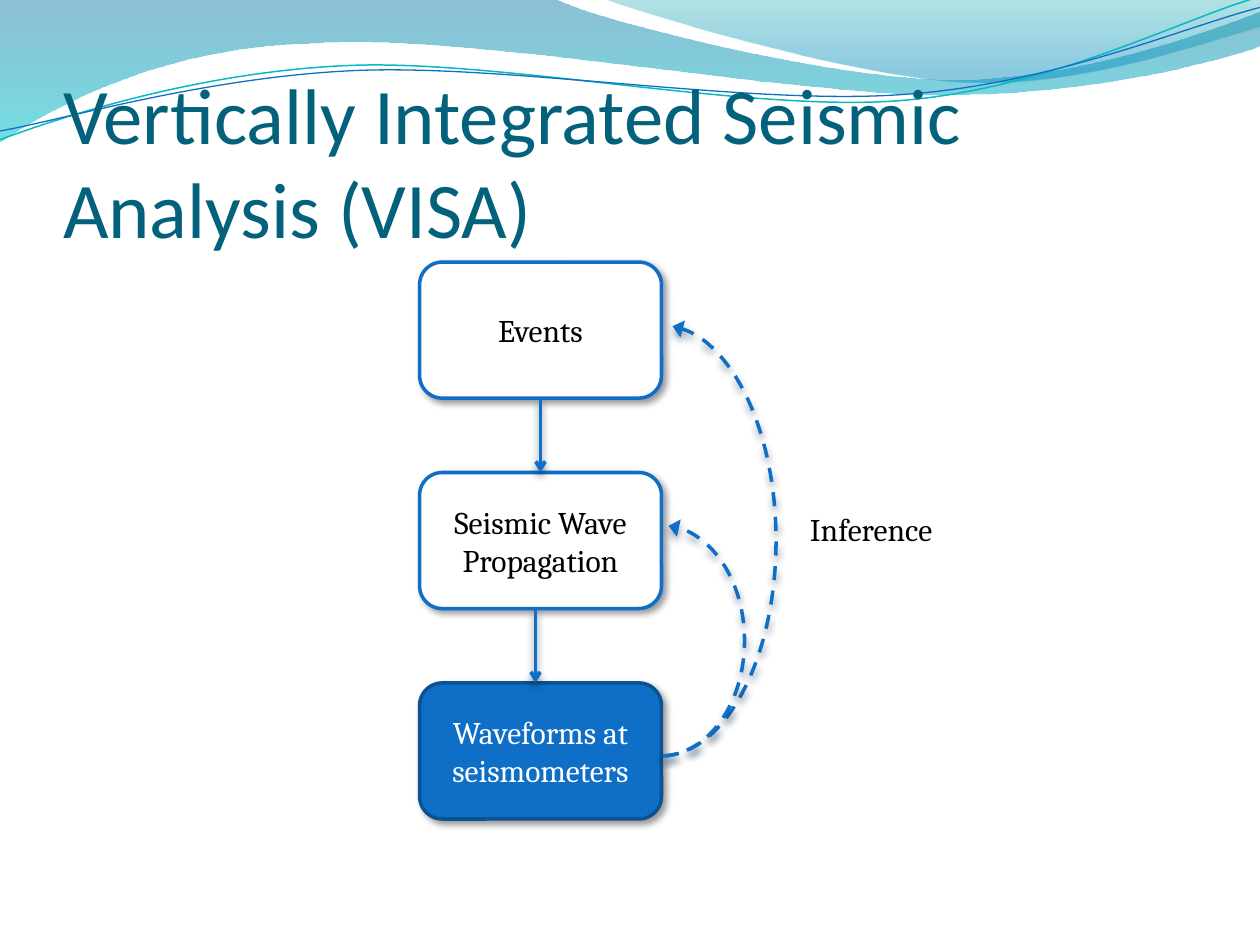
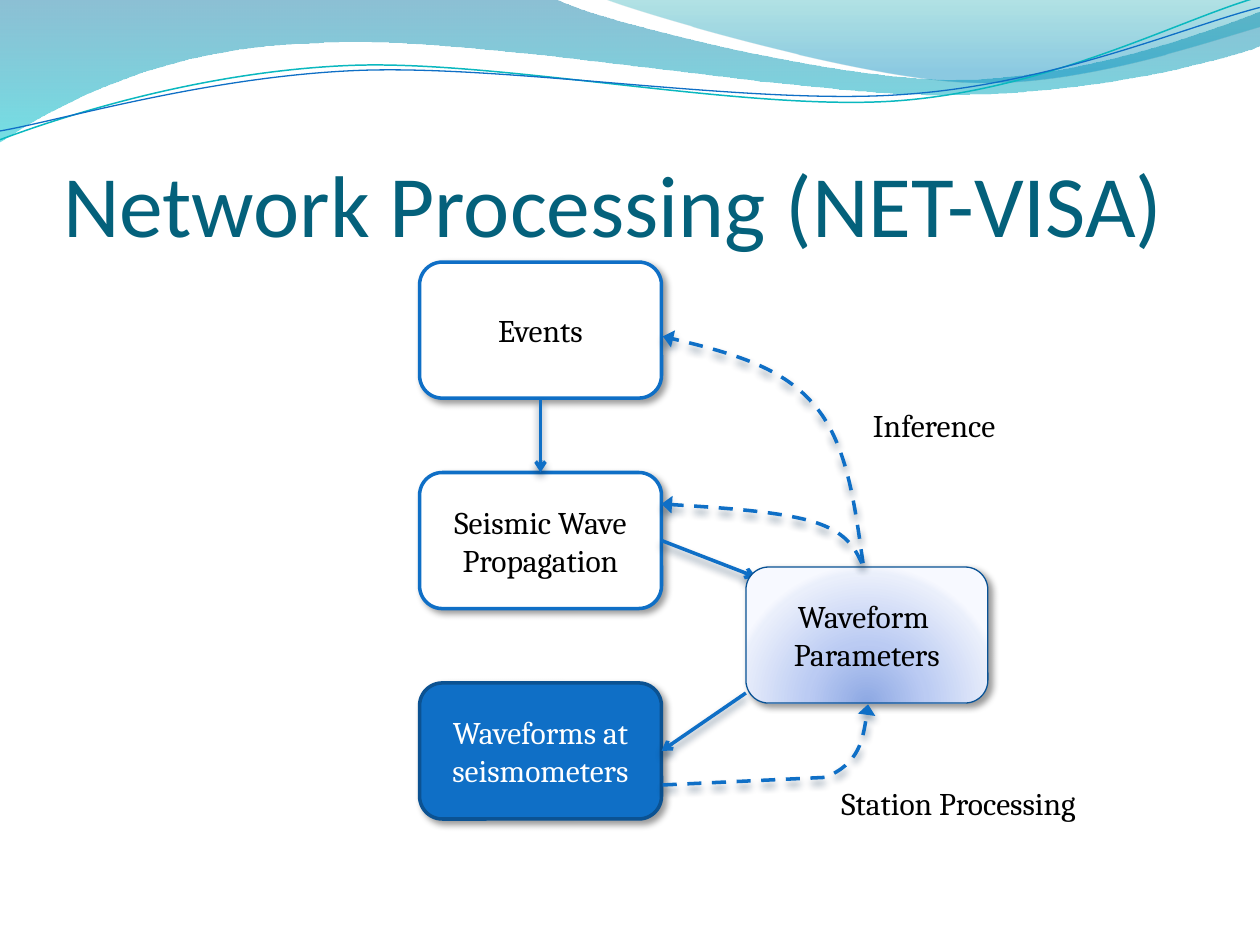
from math import cos, radians, sin

from lxml import etree
from pptx import Presentation
from pptx.dml.color import RGBColor
from pptx.enum import dml, shapes, text
from pptx.oxml import ns
from pptx.util import Inches, Pt

# Shared colours and fonts
WHITE = RGBColor(0xFF, 0xFF, 0xFF)
BLACK = RGBColor(0, 0, 0)
BLUE = RGBColor(0x0F, 0x6F, 0xC6)
NAVY = RGBColor(0x0B, 0x52, 0x92)
PARAMETER_EDGE = RGBColor(0x09, 0x52, 0x95)
TEAL = RGBColor(0x0A, 0xB8, 0xBF)
TITLE_COLOUR = RGBColor(0x04, 0x61, 0x7B)
TITLE_FONT, BODY_FONT = "Calibri", "Cambria"

# Shadows: colour, opacity %, blur and distance in points, direction in degrees
BOX_SHADOW = ("000000", 40, 4, 3, 45)
ARROW_SHADOW = ("042747", 48, 4.5, 3, 90)

# Gradients: (position %, colour, opacity %)
BAND_STOPS = [(0, "0074A1", 45), (100, "00C6CF", 55)]
CREST_STOPS = [(0, "00A1A9", 30), (80, "008BBF", 45)]
GLOW_STOPS = [(0, "8DA8E3", 100), (43, "BBCBF3", 100),
              (93, "EAEFFB", 100), (100, "F7F9FF", 100)]
GLOW_CENTRE = {"l": 50, "t": 130, "r": 50, "b": -30}

# Outlines in inches: a start point, then lines (x, y) or curves (two handles, end)
BAND = [(0, 0), (4.4, -0.01), (4.76, 0.17, 6.64, 0.63, 7.58, 0.63),
        (8.53, 0.63, 9.58, 0.26, 10, 0.09), (10.01, 0.36),
        (9.83, 0.44, 8.7, 0.76, 7.46, 0.75), (6.22, 0.75, 3.82, 0.28, 2.57, 0.34),
        (1.29, 0.36, 0.46, 0.83, -0.01, 1.13), (0, 0)]
CREST = [(4.79, -0.01), (5.09, 0.11, 6.82, 0.62, 7.69, 0.65),
         (8.56, 0.69, 9.61, 0.32, 10, 0.21), (10, 0), (4.79, -0.01)]
TEAL_WAVE = [(0, 1.11), (0.48, 0.93, 1.58, 0.57, 2.77, 0.52),
             (3.95, 0.47, 5.93, 0.89, 7.13, 0.8), (8.33, 0.71, 9.38, 0.15, 9.98, -0.02)]
BLUE_WAVE = [(0, 1.04), (0.47, 0.96, 1.64, 0.61, 2.83, 0.56),
             (4.03, 0.51, 5.97, 0.84, 7.17, 0.75), (8.36, 0.67, 9.41, 0.21, 10, 0.06)]
WAVE_TILT = 357.3
PARAMETERS_TO_EVENTS = [(6.85, 4.47), (6.78, 3.98, 6.72, 3.5, 6.45, 3.2),
                        (6.19, 2.9, 5.72, 2.78, 5.26, 2.67)]
PARAMETERS_TO_WAVE = [(6.84, 4.47), (6.78, 4.34, 6.71, 4.22, 6.45, 4.14),
                      (6.18, 4.06, 5.72, 4.03, 5.25, 4)]
WAVEFORMS_TO_PARAMETERS = [(5.26, 6.23), (6.55, 6.17),
                           (6.82, 6.06, 6.86, 5.83, 6.89, 5.59)]

# Flow chart grid
BOX_LEFT, BOX_TOP, BOX_STEP = 3.33, 2.08, 1.67
BOX_WIDTH, BOX_HEIGHT = 1.92, 1.08


def add_node(parent, tag, **attributes):
    """Append a drawing element with the given attributes."""
    return etree.SubElement(parent, ns.qn(tag),
                            {key: str(value) for key, value in attributes.items()})


def add_colour(parent, colour, opacity):
    node = add_node(parent, "a:srgbClr", val=colour)
    if opacity < 100:
        add_node(node, "a:alpha", val=opacity * 1000)


def add_shadow(effects, colour, opacity, blur, distance, direction):
    shadow = add_node(effects, "a:outerShdw", blurRad=Pt(blur), dist=Pt(distance),
                      dir=direction * 60000, algn="ctr", rotWithShape=0)
    add_colour(shadow, colour, opacity)


def set_shadow(shape, shadow):
    shape.shadow.inherit = False
    add_shadow(shape.element.spPr.find(ns.qn("a:effectLst")), *shadow)


def set_gradient(shape, stops, centre=None):
    """Fill from top to bottom, or in circles around a centre."""
    shape.fill.gradient()
    gradient = shape.element.spPr.find(ns.qn("a:gradFill"))
    for child in list(gradient):
        gradient.remove(child)
    stop_list = add_node(gradient, "a:gsLst")
    for position, colour, opacity in stops:
        add_colour(add_node(stop_list, "a:gs", pos=position * 1000), colour, opacity)
    if centre:
        circle = add_node(gradient, "a:path", path="circle")
        add_node(circle, "a:fillToRect", **{side: v * 1000 for side, v in centre.items()})
    else:
        add_node(gradient, "a:lin", ang=90 * 60000, scaled=0)


def set_line(shape, colour, width, head=None, head_width="med", dashed=False):
    shape.line.color.rgb = colour
    shape.line.width = Pt(width)
    if dashed:
        shape.line.dash_style = dml.MSO_LINE.DASH
    if head:
        add_node(shape.element.spPr.find(ns.qn("a:ln")), "a:tailEnd",
                 type=head, w=head_width, len="med")


def set_dashed_arrow(shape):
    shape.fill.background()
    set_line(shape, BLUE, 2, head="triangle", head_width="lg", dashed=True)
    set_shadow(shape, ARROW_SHADOW)


def write(frame, content, font=BODY_FONT, size=18, colour=BLACK, align=None,
          anchor=text.MSO_ANCHOR.TOP, wrap=True):
    frame.word_wrap = wrap
    frame.vertical_anchor = anchor
    para = frame.paragraphs[0]
    para.alignment = align
    span = para.add_run()
    span.text = content
    span.font.name = font
    span.font.size = Pt(size)
    span.font.color.rgb = colour


def add_outline(page, steps, closed=False):
    """Draw a freeform, then join each pair of handles and end into one curve."""
    points = [(Inches(x), Inches(y)) for step in steps
              for x, y in zip(step[::2], step[1::2])]
    builder = page.shapes.build_freeform(*points[0])
    builder.add_line_segments(points[1:], close=closed)
    shape = builder.convert_to_shape()
    shape.shadow.inherit = False
    lines = shape.element.spPr.iter(ns.qn("a:lnTo"))
    segments = iter(list(lines))
    for step in steps[1:]:
        parts = [next(segments) for _ in step[::2]]
        if len(parts) == 3:
            curve = etree.Element(ns.qn("a:cubicBezTo"))
            parts[0].addprevious(curve)
            for part in parts:
                curve.append(part[0])
                part.getparent().remove(part)
    return shape


def level(steps, tilt):
    """Turn an outline back about its middle, so that the tilt restores it."""
    ends = [step[-2:] for step in steps]
    mid_x, mid_y = ((min(v) + max(v)) / 2 for v in zip(*ends))
    c, s = cos(radians(-tilt)), sin(radians(-tilt))
    turned = []
    for step in steps:
        pairs = [(x - mid_x, y - mid_y) for x, y in zip(step[::2], step[1::2])]
        turned.append(tuple(v for x, y in pairs
                            for v in (mid_x + x * c - y * s, mid_y + x * s + y * c)))
    return turned


def add_waves(page):
    for steps, stops in ((BAND, BAND_STOPS), (CREST, CREST_STOPS)):
        shape = add_outline(page, steps, closed=True)
        set_gradient(shape, stops)
        shape.line.fill.background()
    for steps, colour, width in ((TEAL_WAVE, TEAL, 0.85), (BLUE_WAVE, BLUE, 0.75)):
        shape = add_outline(page, level(steps, WAVE_TILT))
        shape.rotation = WAVE_TILT
        shape.fill.background()
        set_line(shape, colour, width)


def add_title(page, content, size):
    box = page.shapes.add_textbox(Inches(0.5), Inches(0.77), Inches(9.08), Inches(1.25))
    frame = box.text_frame
    frame.margin_left = frame.margin_right = frame.margin_bottom = 0
    write(frame, content, font=TITLE_FONT, size=size, colour=TITLE_COLOUR,
          anchor=text.MSO_ANCHOR.BOTTOM)


def add_box(page, content, left, top, fill=WHITE, edge=BLUE, width=2, colour=BLACK):
    box = page.shapes.add_shape(shapes.MSO_SHAPE.ROUNDED_RECTANGLE, Inches(left),
                                Inches(top), Inches(BOX_WIDTH), Inches(BOX_HEIGHT))
    box.fill.solid()
    box.fill.fore_color.rgb = fill
    set_line(box, edge, width)
    set_shadow(box, BOX_SHADOW)
    write(box.text_frame, content, colour=colour, align=text.PP_ALIGN.CENTER,
          anchor=text.MSO_ANCHOR.MIDDLE)
    return box


def add_arrow(page, x1, y1, x2, y2):
    arrow = page.shapes.add_connector(shapes.MSO_CONNECTOR.STRAIGHT, Inches(x1),
                                      Inches(y1), Inches(x2), Inches(y2))
    set_line(arrow, BLUE, 2, head="arrow")
    add_shadow(add_node(arrow.element.spPr, "a:effectLst"), *ARROW_SHADOW)


def add_arc(page, left, top, width, height, end):
    arc = page.shapes.add_shape(shapes.MSO_SHAPE.ARC, Inches(left), Inches(top),
                                Inches(width), Inches(height))
    arc.adjustments[0], arc.adjustments[1] = 162.68, end
    arc.element.spPr.find(ns.qn("a:xfrm")).set("flipV", "1")
    set_dashed_arrow(arc)


def add_label(page, content, left, top, width):
    box = page.shapes.add_textbox(Inches(left), Inches(top), Inches(width), Inches(0.4))
    write(box.text_frame, content, wrap=False)
    box.text_frame.auto_size = text.MSO_AUTO_SIZE.SHAPE_TO_FIT_TEXT


def add_page(deck, title, size):
    """Start a page with the waves, the title and the three main boxes."""
    page = deck.slides.add_slide(deck.slide_layouts[6])
    add_waves(page)
    add_title(page, title, size)
    styles = [("Events", {}), ("Seismic Wave Propagation", {}),
              ("Waveforms at seismometers", dict(fill=BLUE, edge=NAVY, colour=WHITE))]
    for row, (content, style) in enumerate(styles):
        add_box(page, content, BOX_LEFT, BOX_TOP + row * BOX_STEP, **style)
    add_arrow(page, 4.29, 3.17, 4.29, 3.75)
    return page


def build_visa(deck):
    page = add_page(deck, "Vertically Integrated Seismic Analysis (VISA)", 45)
    add_arrow(page, 4.25, 4.83, 4.25, 5.42)
    add_arc(page, 4.33, 2.58, 1.83, 3.42, end=52.12)
    add_label(page, "Inference", 6.33, 4, 1.23)
    add_arc(page, 4.58, 4.17, 1.33, 1.83, end=51.68)


def build_net_visa(deck):
    page = add_page(deck, "Network Processing (NET-VISA)", 50)
    add_arrow(page, 5.25, 4.29, 6, 4.58)
    add_label(page, "Inference", 6.83, 3.17, 1.23)
    parameters = add_box(page, "Waveform  Parameters", 5.92, 4.5,
                         edge=PARAMETER_EDGE, width=0.75)
    set_gradient(parameters, GLOW_STOPS, GLOW_CENTRE)
    set_dashed_arrow(add_outline(page, PARAMETERS_TO_EVENTS))
    add_arrow(page, 5.92, 5.5, 5.25, 5.96)
    set_dashed_arrow(add_outline(page, WAVEFORMS_TO_PARAMETERS))
    add_label(page, "Station Processing", 6.58, 6.17, 2.2)
    set_dashed_arrow(add_outline(page, PARAMETERS_TO_WAVE))


def main():
    deck = Presentation()
    deck.slide_width, deck.slide_height = Inches(10), Inches(7.5)
    build_visa(deck)
    build_net_visa(deck)
    deck.save("out.pptx")


if __name__ == "__main__":
    main()
